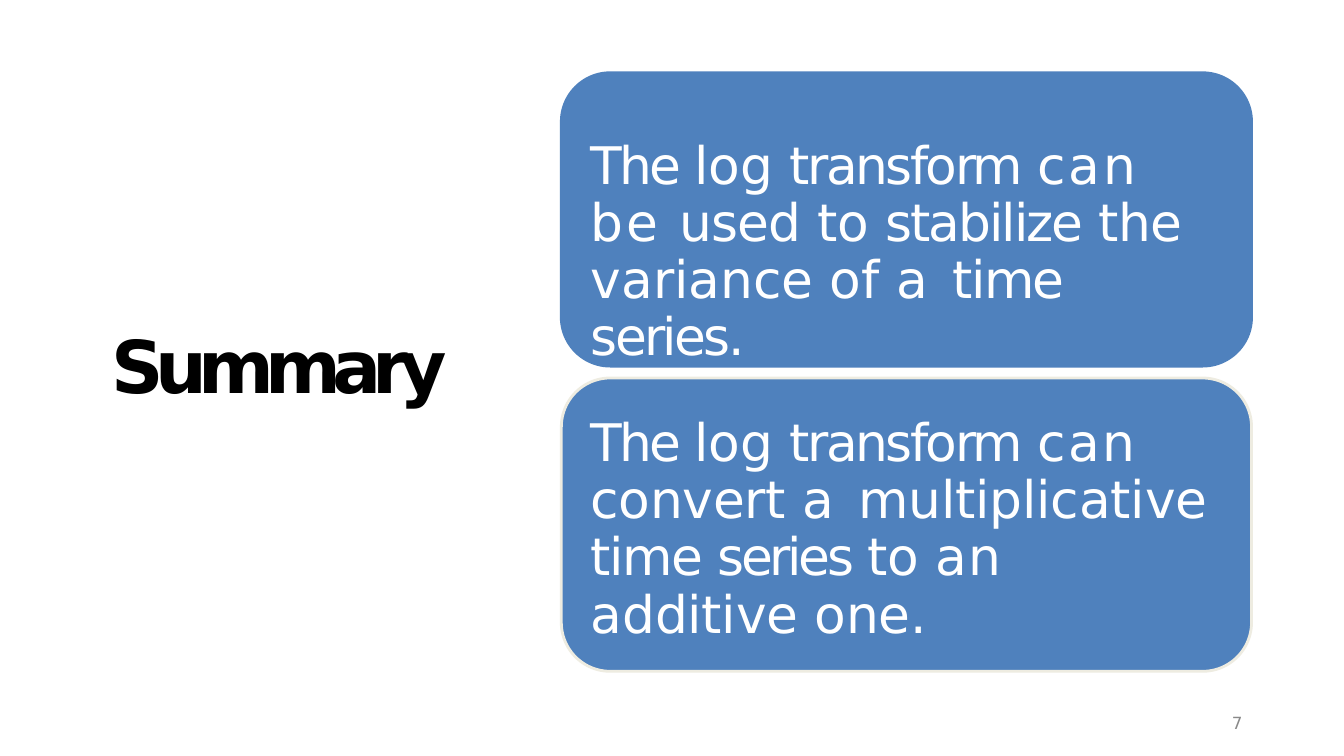
from pptx import Presentation
from pptx import util as u
from pptx.dml import color
from pptx.enum import shapes, text

Pt = u.Pt
FONT = "DejaVu Sans"
COL = {"blue": "4F81BD", "cream": "EEECE1", "white": "FFFFFF",
       "black": "000000", "gray": "898989"}

CARDS = [
    ("blue", 47, [
        ("The ", -2.1), ("log ", 0), ("transform ", -1.8), ("can ", 2.1),
        ("be ", 1.8), ("used ", -0.5), ("to ", -0.2), ("stabilize ", -1.4),
        ("the ", -0.2), ("variance of ", 0), ("a ", 2.9), ("time ", -1.1),
        ("series.", -1.9)]),
    ("cream", 27, [
        ("The ", -2.1), ("log ", 0), ("transform ", -1.8), ("can ", 1.9),
        ("convert ", -0.2), ("a ", 2.9), ("multiplicative ", -0.1),
        ("time ", -1.1), ("series ", -2.4), ("to ", -0.2), ("an ", 0.9),
        ("additive ", -0.1), ("one.", -0.2)]),
]


def rgb(name):
    return color.RGBColor.from_string(COL[name])


def write(slide, runs, box, size, tint, bold=False, lead=None):
    frame = slide.shapes.add_textbox(*map(Pt, box)).text_frame
    frame.word_wrap = True
    frame.vertical_anchor = text.MSO_ANCHOR.TOP
    frame.margin_left = frame.margin_right = 0
    frame.margin_top = frame.margin_bottom = 0
    para = frame.paragraphs[0]
    para.alignment = text.PP_ALIGN.LEFT
    if lead:
        para.line_spacing = lead
    for words, gap in runs:
        run = para.add_run()
        run.text = words
        font = run.font
        font.name, font.size, font.bold = FONT, Pt(size), bold
        font.color.rgb = rgb(tint)
        run._r.get_or_add_rPr().set("spc", str(round(gap * 100)))


def card(slide, box, edge, drop, runs):
    left, top, width, height = box
    shape = slide.shapes.add_shape(
        shapes.MSO_SHAPE.ROUNDED_RECTANGLE, *map(Pt, box))
    shape.shadow.inherit = False
    shape.fill.solid()
    shape.fill.fore_color.rgb = rgb("blue")
    shape.line.color.rgb = rgb(edge)
    shape.line.width = Pt(2)
    write(slide, runs, (left + 21, top + drop, width - 43, height - drop),
          37, "white", lead=0.92)


def stack(slide, box):
    left, top, width, height = box
    gap = 8.5
    tall = (height - gap) / 2
    for row, (edge, drop, runs) in enumerate(CARDS):
        place = (left, top + row * (tall + gap), width, tall)
        card(slide, place, edge, drop, runs)


def title(slide, box):
    write(slide, [("Summary", -6.3)], box, 52, "black", True, Pt(60.2))


def footer(slide, box):
    write(slide, [("7", -0.5)], box, 12, "gray")


def main():
    deck = Presentation()
    deck.slide_width, deck.slide_height = Pt(960), Pt(540)
    slide = deck.slides.add_slide(deck.slide_layouts[6])
    stack(slide, (401, 52, 493, 427.5))
    title(slide, (80, 231.5, 300, 62))
    footer(slide, (880, 509, 12, 16))
    deck.save("out.pptx")


if __name__ == "__main__":
    main()
